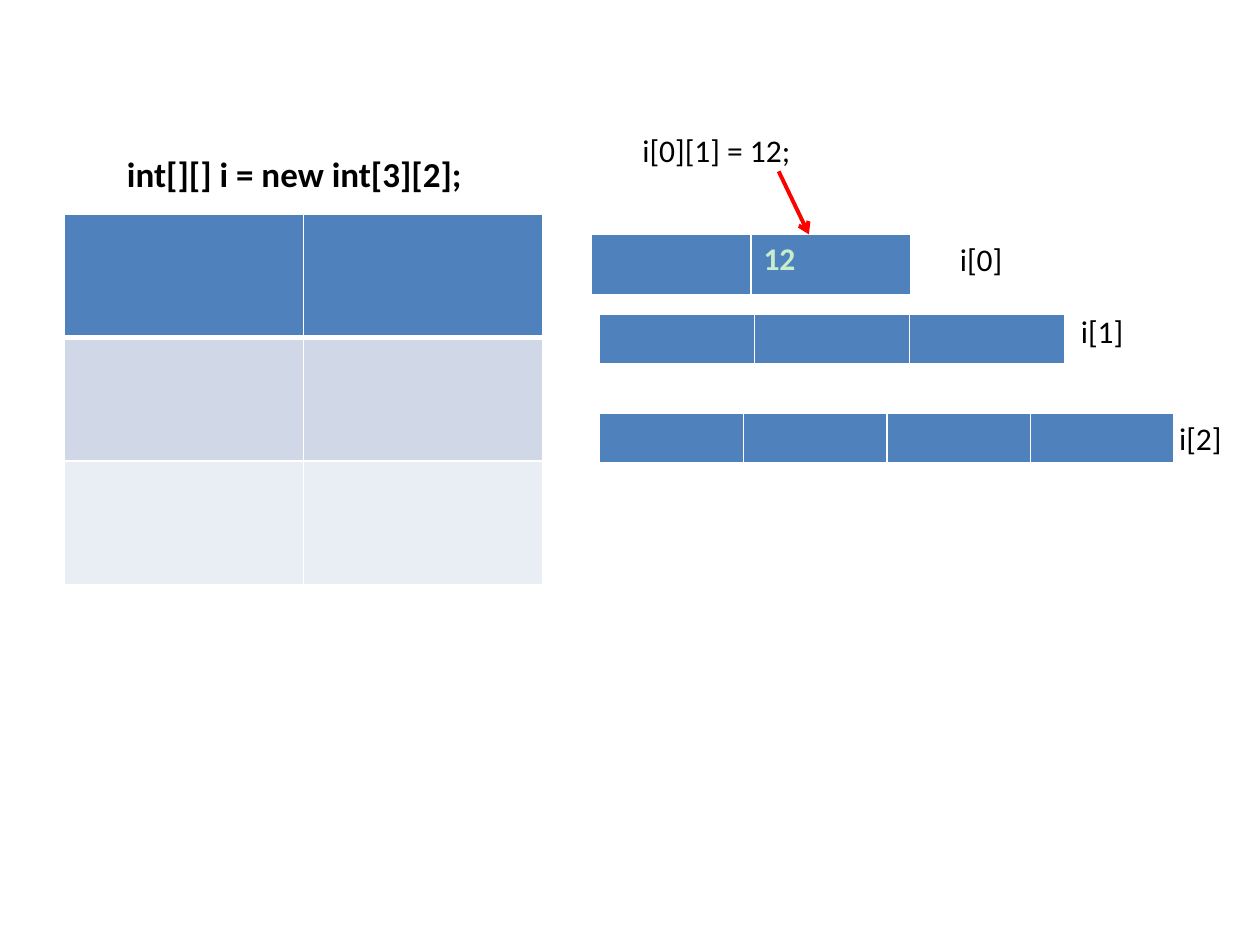
from lxml import etree
from pptx import Presentation
from pptx import util as u
from pptx.dml.color import RGBColor
from pptx.enum import shapes
from pptx.oxml import ns

FONT = "Calibri"
BLUE, PALE, LIGHT = "4F81BD", "D0D8E8", "E9EDF4"
BLACK, WHITE, GREEN, RED = "000000", "FFFFFF", "C7EDCC", "FF0000"

# left, top, column width, row height, row fills, rows of cell text
ARRAYS = [
    (0.51, 1.7, 1.9, 0.98, [BLUE, PALE, LIGHT], [["", ""]] * 3),
    (4.69, 1.86, 1.27, 0.49, [BLUE], [["", "12"]]),
    (4.76, 2.49, 1.23, 0.39, [BLUE], [[""] * 3]),
    (4.76, 3.28, 1.14, 0.39, [BLUE], [[""] * 4]),
]
# wording, left, top, width, height, size, bold
LABELS = [
    ("int[][] i = new int[3][2];", 0.91, 1.16, 3.94, 0.44, 20, True),
    ("i[0]", 7.52, 1.86, 1.73, 0.4, 18, False),
    ("i[1]", 8.48, 2.43, 0.77, 0.4, 18, False),
    ("i[2]", 9.26, 3.28, 0.77, 0.4, 18, False),
    ("i[0][1] = 12;", 5, 0.99, 4.02, 0.4, 18, False),
]
ARROW = (6.18, 1.36, 6.42, 1.86)


def rgb(value):
    return RGBColor.from_string(value)


def write(p, wording, size, color, bold):
    p.text = wording
    f = p.font
    f.name, f.size, f.bold = FONT, u.Pt(size), bold
    f.color.rgb = rgb(color)


def add_borders(cell, bottom):
    tcPr = cell._tc.get_or_add_tcPr()
    for side, width in (("L", 1), ("R", 1), ("T", 1), ("B", bottom)):
        ln = etree.SubElement(tcPr, ns.qn("a:ln" + side), w=str(u.Pt(width)))
        fill = etree.SubElement(ln, ns.qn("a:solidFill"))
        etree.SubElement(fill, ns.qn("a:srgbClr"), val=WHITE)


def add_array(slide, left, top, col_w, row_h, fills, rows):
    n_rows, n_cols = len(rows), len(rows[0])
    table = slide.shapes.add_table(
        n_rows, n_cols, u.Inches(left), u.Inches(top),
        u.Inches(col_w * n_cols), u.Inches(row_h * n_rows)).table
    for col in table.columns:
        col.width = u.Inches(col_w)
    for r, row in enumerate(rows):
        table.rows[r].height = u.Inches(row_h)
        for c, wording in enumerate(row):
            cell = table.cell(r, c)
            add_borders(cell, 3 if r == 0 else 1)
            cell.fill.solid()
            cell.fill.fore_color.rgb = rgb(fills[r])
            write(cell.text_frame.paragraphs[0], wording, 18, GREEN, True)


def add_label(slide, wording, left, top, width, height, size, bold):
    tf = slide.shapes.add_textbox(*map(u.Inches, (left, top, width, height))).text_frame
    tf.word_wrap = True
    write(tf.paragraphs[0], wording, size, BLACK, bold)


def add_arrow(slide, ends):
    line = slide.shapes.add_connector(
        shapes.MSO_CONNECTOR.STRAIGHT, *map(u.Inches, ends))
    line.line.color.rgb = rgb(RED)
    line.line.width = u.Pt(2.25)
    etree.SubElement(line.line._get_or_add_ln(), ns.qn("a:tailEnd"), type="arrow")
    etree.SubElement(line._element.spPr, ns.qn("a:effectLst"))


def main():
    prs = Presentation()
    prs.slide_width, prs.slide_height = u.Inches(10), u.Inches(7.5)
    slide = prs.slides.add_slide(prs.slide_layouts[6])
    slide.background.fill.solid()
    slide.background.fill.fore_color.rgb = rgb(WHITE)

    # Array grids
    for array in ARRAYS:
        add_array(slide, *array)
    # Declarations and row names
    for label in LABELS:
        add_label(slide, *label)
    # Assignment pointing at its cell
    add_arrow(slide, ARROW)
    prs.save("out.pptx")


if __name__ == "__main__":
    main()
